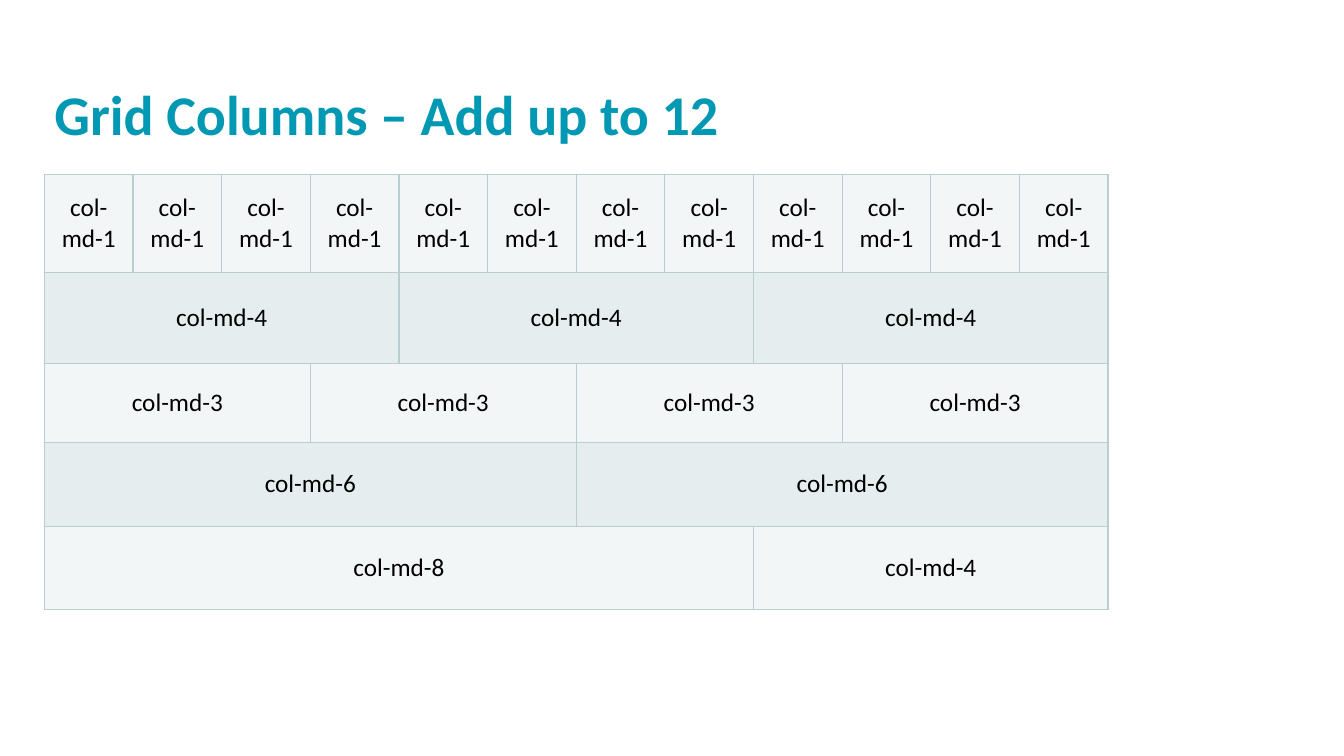
from lxml.etree import SubElement
from pptx import Presentation
from pptx.dml.color import RGBColor
from pptx.enum.text import MSO_ANCHOR as Anchor, MSO_AUTO_SIZE as AutoSize, PP_ALIGN as Align
from pptx.oxml.ns import qn
from pptx.util import Inches, Pt

TITLE = "Grid Columns – Add up to 12"
GRID_ROWS = [
    (0.97, [1] * 12),
    (0.91, [4] * 3),
    (0.78, [3] * 4),
    (0.83, [6] * 2),
    (0.83, [8, 4]),
]
COLUMNS = 12
LEFT, WIDTH = 0.44, 10.55
TITLE_TOP, TITLE_HEIGHT = 0.81, 0.92
GRID_TOP = TITLE_TOP + TITLE_HEIGHT

TEAL = RGBColor(0x00, 0x98, 0xB2)
BLACK = RGBColor(0x00, 0x00, 0x00)
BORDER = RGBColor(0xB8, 0xCE, 0xD0)
BANDS = [RGBColor(0xF3, 0xF6, 0xF7), RGBColor(0xE6, 0xED, 0xEE)]

TITLE_FONT = {"name": "Calibri", "size": Pt(40), "bold": True}
CELL_FONT = {"name": "Calibri", "size": Pt(18), "bold": False}
TITLE_FRAME = {"word_wrap": True, "auto_size": AutoSize.NONE, "vertical_anchor": Anchor.TOP}
TITLE_PARA = {"alignment": Align.LEFT, "line_spacing": 0.9}


def apply(target, values):
    for name, value in values.items():
        setattr(target, name, value)


def write(para, text, font, color):
    span = para.add_run()
    span.text = text
    apply(span.font, font)
    span.font.color.rgb = color


def add_borders(cell):
    properties = cell._tc.get_or_add_tcPr()
    for side in ("lnL", "lnR", "lnT", "lnB"):
        line = SubElement(properties, qn(f"a:{side}"), w=str(Pt(1)))
        fill = SubElement(line, qn("a:solidFill"))
        SubElement(fill, qn("a:srgbClr"), val=str(BORDER))


def add_title(page):
    box = page.shapes.title
    apply(box, {"left": Inches(LEFT), "top": Inches(TITLE_TOP),
                "width": Inches(WIDTH), "height": Inches(TITLE_HEIGHT)})
    apply(box.text_frame, TITLE_FRAME)
    para = box.text_frame.paragraphs[0]
    apply(para, TITLE_PARA)
    write(para, TITLE, TITLE_FONT, TEAL)


def add_grid(page):
    height = sum(row_height for row_height, _ in GRID_ROWS)
    table = page.shapes.add_table(len(GRID_ROWS), COLUMNS, Inches(LEFT), Inches(GRID_TOP),
                                  Inches(WIDTH), Inches(height)).table
    apply(table, {"first_row": False, "horz_banding": False})
    for column in table.columns:
        column.width = Inches(WIDTH / COLUMNS)
    for row, (row_height, spans) in enumerate(GRID_ROWS):
        table.rows[row].height = Inches(row_height)
        for cell in table.rows[row].cells:
            add_borders(cell)
            cell.fill.solid()
            cell.fill.fore_color.rgb = BANDS[row % 2]
        start = 0
        for size in spans:
            cell = table.cell(row, start)
            if size > 1:
                cell.merge(table.cell(row, start + size - 1))
            cell.vertical_anchor = Anchor.MIDDLE
            para = cell.text_frame.paragraphs[0]
            para.alignment = Align.CENTER
            write(para, f"col-md-{size}", CELL_FONT, BLACK)
            start += size


def main():
    deck = Presentation()
    apply(deck, {"slide_width": Inches(13.33), "slide_height": Inches(7.5)})
    page = deck.slides.add_slide(deck.slide_layouts[5])
    add_title(page)
    add_grid(page)
    deck.save("out.pptx")


if __name__ == "__main__":
    main()
